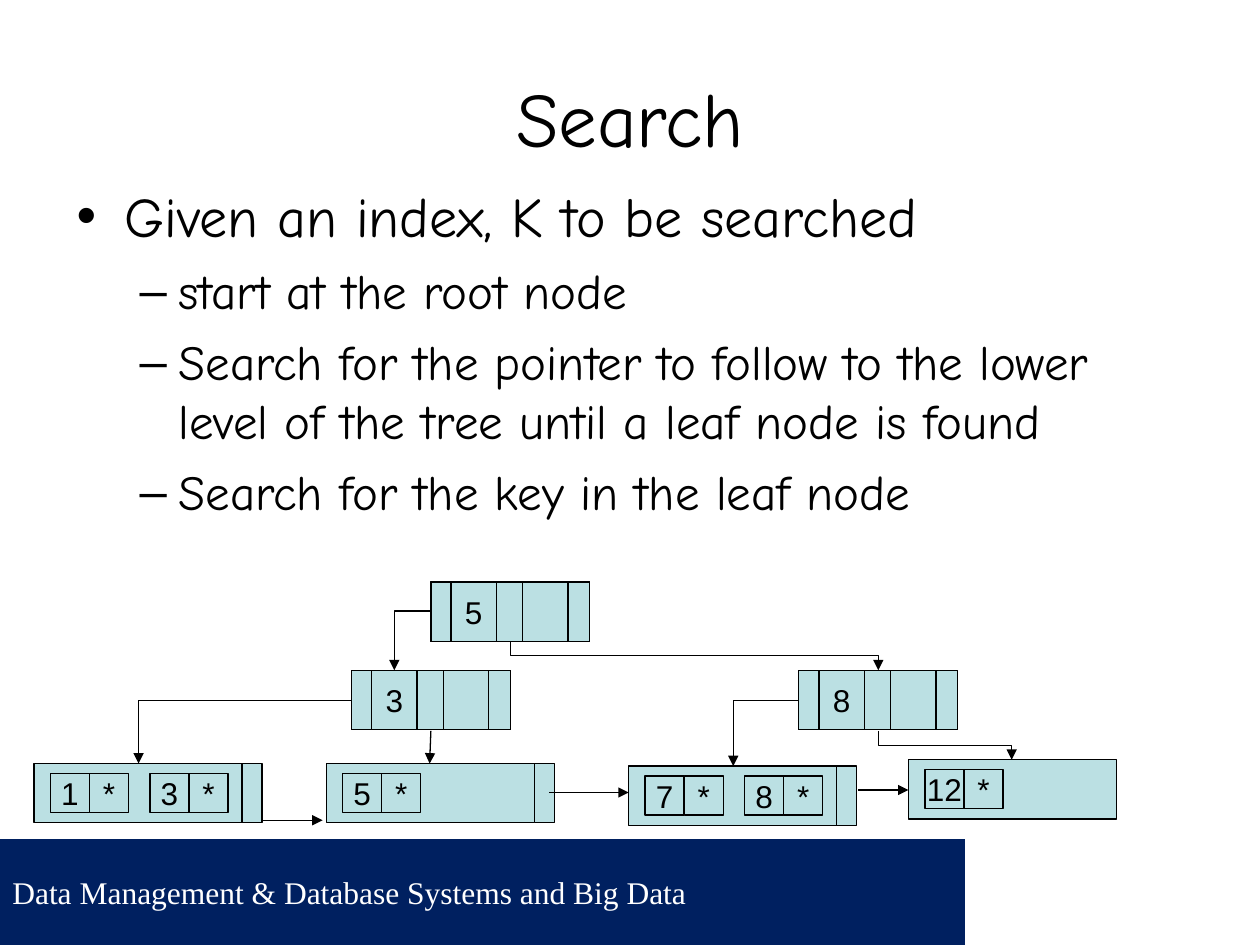
from lxml import etree
from pptx import Presentation
from pptx.dml.color import RGBColor
from pptx.enum.shapes import MSO_CONNECTOR as Link, MSO_SHAPE as Form
from pptx.enum.text import MSO_ANCHOR as Anchor, PP_ALIGN as Align
from pptx.oxml.ns import qn
from pptx.util import Inches, Pt

HUES = {"navy": "002060", "white": "FFFFFF", "black": "000000", "cell": "BBE0E3"}

TITLE = "Search"
FOOT = "Data Management & Database Systems and Big Data"
BODY = [
    (0, "Given an index, K to be searched"),
    (1, "start at the root node"),
    (1, "Search for the pointer to follow to the lower level of the tree "
        "until a leaf node is found"),
    (1, "Search for the key in the leaf node"),
]
# level: bullet, size, left margin, hanging indent, space before
LEVELS = [("•", 32, 0.38, 0.38, 8), ("–", 28, 0.81, 0.31, 7)]

# key, left, top
NODES = [("5", 3.42, 4.62), ("3", 2.79, 5.32), ("8", 6.34, 5.32)]
# keys, left, top, has a next pointer
LEAVES = [
    (["1", "3"], 0.27, 6.06, True),
    (["5"], 2.59, 6.06, True),
    (["7", "8"], 4.99, 6.08, True),
    (["12"], 7.21, 6.03, False),
]
# offset, width of the parts inside a node
PARTS = [(0, 0.16), (0.16, 0.36), (0.73, 0.36), (1.09, 0.17)]
NODE_W, LEAF_W, NEXT_W, HIGH, KEY = 1.26, 1.65, 0.16, 0.47, 0.31

# kind, start, end
ARROWS = [
    ("straight", (3.42, 5.8), (3.41, 6.06)),
    ("straight", (4.36, 6.29), (4.99, 6.29)),
    ("straight", (6.81, 6.27), (7.21, 6.27)),
    ("straight", (2.09, 6.51), (2.56, 6.51)),
    ("corner", (3.42, 4.85), (3.13, 5.32)),
    ("corner", (2.79, 5.56), (1.1, 6.06)),
    ("corner", (6.34, 5.56), (5.82, 6.08)),
    ("step", (4.05, 5.09), (6.97, 5.32)),
    ("step", (6.97, 5.8), (8.03, 6.03)),
]

deck = Presentation()
deck.slide_width, deck.slide_height = Inches(10), Inches(7.5)
slide = deck.slides.add_slide(deck.slide_layouts[6])
shapes = slide.shapes


def hue(name):
    return RGBColor.from_string(HUES[name])


def write(para, text, size, face, color="black"):
    run = para.add_run()
    run.text = text
    look = {"size": Pt(size), "name": face}
    for name, value in look.items():
        setattr(run.font, name, value)
    run.font.color.rgb = hue(color)


def rect(x, y, w, h, fill="cell", line="black"):
    box = shapes.add_shape(Form.RECTANGLE, *map(Inches, (x, y, w, h)))
    box.shadow.inherit = False
    box.fill.solid()
    box.fill.fore_color.rgb = hue(fill)
    if line:
        box.line.color.rgb = hue(line)
        box.line.width = Pt(0.75)
    else:
        box.line.fill.background()
    return box


def label(box, text):
    frame = box.text_frame
    frame.word_wrap = False
    frame.vertical_anchor = Anchor.MIDDLE
    para = frame.paragraphs[0]
    para.alignment = Align.CENTER
    write(para, text, 18, "Arial")


def area(x, y, w, h, anchor):
    frame = shapes.add_textbox(*map(Inches, (x, y, w, h))).text_frame
    frame.word_wrap = True
    frame.vertical_anchor = anchor
    return frame


def bullet(para, level):
    """Give a paragraph the mark, indent and spacing of its level."""
    mark, _, left, hang, gap = LEVELS[level]
    para.level = level
    para.space_before = Pt(gap)
    props = para._p.get_or_add_pPr()
    props.set("marL", str(Inches(left)))
    props.set("indent", str(-Inches(hang)))
    etree.SubElement(props, qn("a:buFont")).set("typeface", "Arial")
    etree.SubElement(props, qn("a:buChar")).set("char", mark)


def arrow(kind, start, end):
    (x1, y1), (x2, y2) = start, end
    if kind == "step":  # laid out sideways, then turned to run down, across, down
        mx, my = (x1 + x2) / 2, (y1 + y2) / 2
        dx, dy = (x2 - x1) / 2, (y2 - y1) / 2
        x1, y1, x2, y2 = mx + dy, my - dx, mx - dy, my + dx
    form = Link.STRAIGHT if kind == "straight" else Link.ELBOW
    link = shapes.add_connector(form, *map(Inches, (x1, y1, x2, y2)))
    link.line.color.rgb = hue("black")
    link.line.width = Pt(0.75)
    props = link._element.spPr
    if kind == "step":
        props.find(qn("a:xfrm")).set("rot", str(270 * 60000))
    if kind == "corner":
        props.find(qn("a:prstGeom")).set("prst", "bentConnector2")
    etree.SubElement(props.find(qn("a:ln")), qn("a:tailEnd")).set("type", "triangle")
    etree.SubElement(props, qn("a:effectLst"))


band = rect(0, 6.66, 10, 0.84, "navy", None).text_frame
band.vertical_anchor = Anchor.MIDDLE
band.paragraphs[0].alignment = Align.LEFT
write(band.paragraphs[0], FOOT, 18, "Times New Roman", "white")
rect(7.66, 6.66, 2.34, 0.84, "white", None)

head = area(0.5, 0.3, 9, 1.25, Anchor.MIDDLE).paragraphs[0]
head.alignment = Align.CENTER
write(head, TITLE, 44, "Comic Neue")

body = area(0.51, 1.39, 9, 4.95, Anchor.TOP)
for i, (level, text) in enumerate(BODY):
    para = body.add_paragraph() if i else body.paragraphs[0]
    bullet(para, level)
    write(para, text, LEVELS[level][1], "Comic Neue")

for key, x, y in NODES:
    rect(x, y, NODE_W, HIGH)
    parts = [rect(x + off, y, w, HIGH) for off, w in PARTS]
    label(parts[1], key)

for keys, x, y, chained in LEAVES:
    rect(x, y, LEAF_W, HIGH)
    if chained:
        rect(x + LEAF_W, y, NEXT_W, HIGH)
    for i, key in enumerate(keys):
        left = x + 0.13 + i * 0.79
        for j, text in enumerate((key, "*")):
            label(rect(left + j * KEY, y + 0.08, KEY, KEY), text)

for item in ARROWS:
    arrow(*item)

deck.save("out.pptx")
